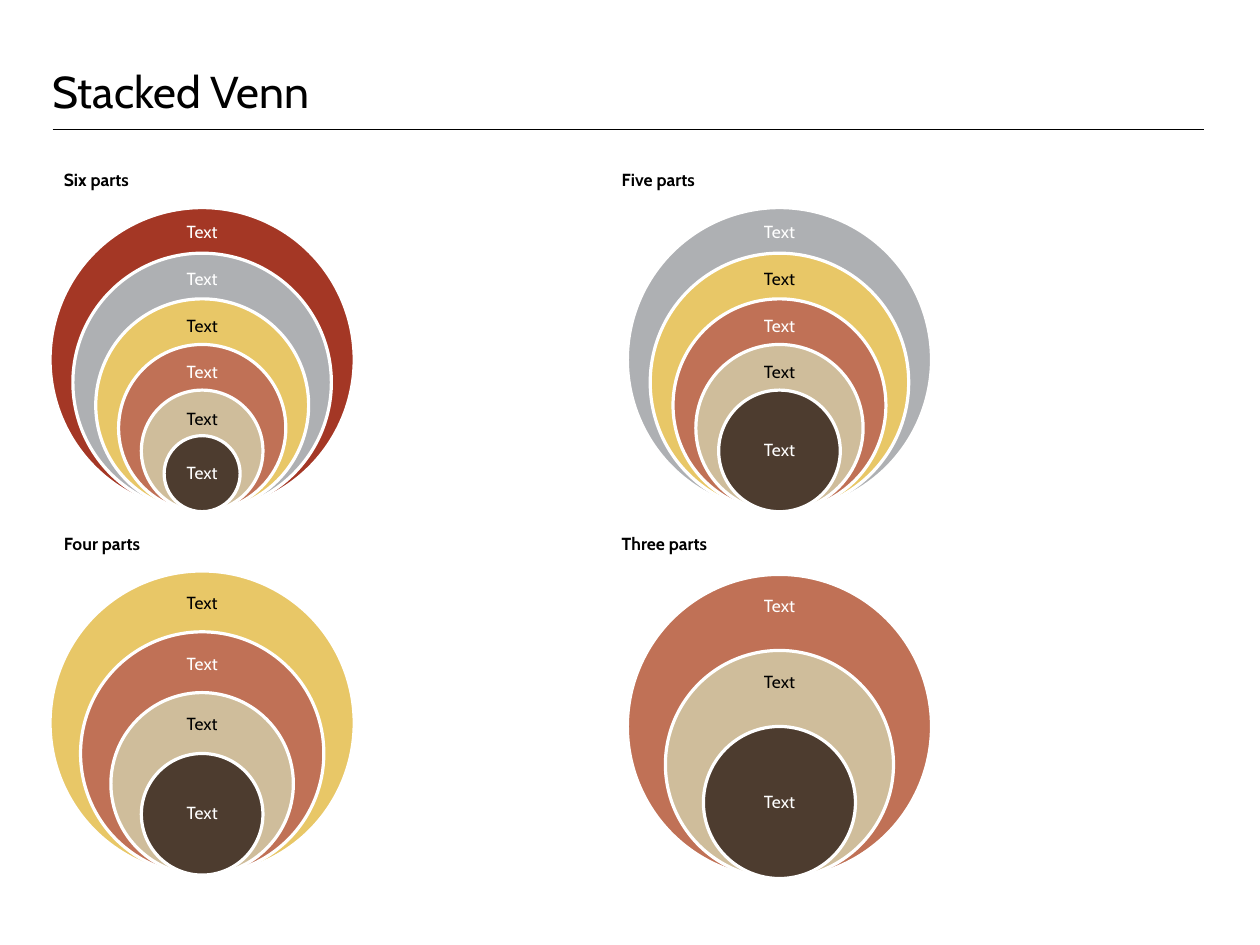
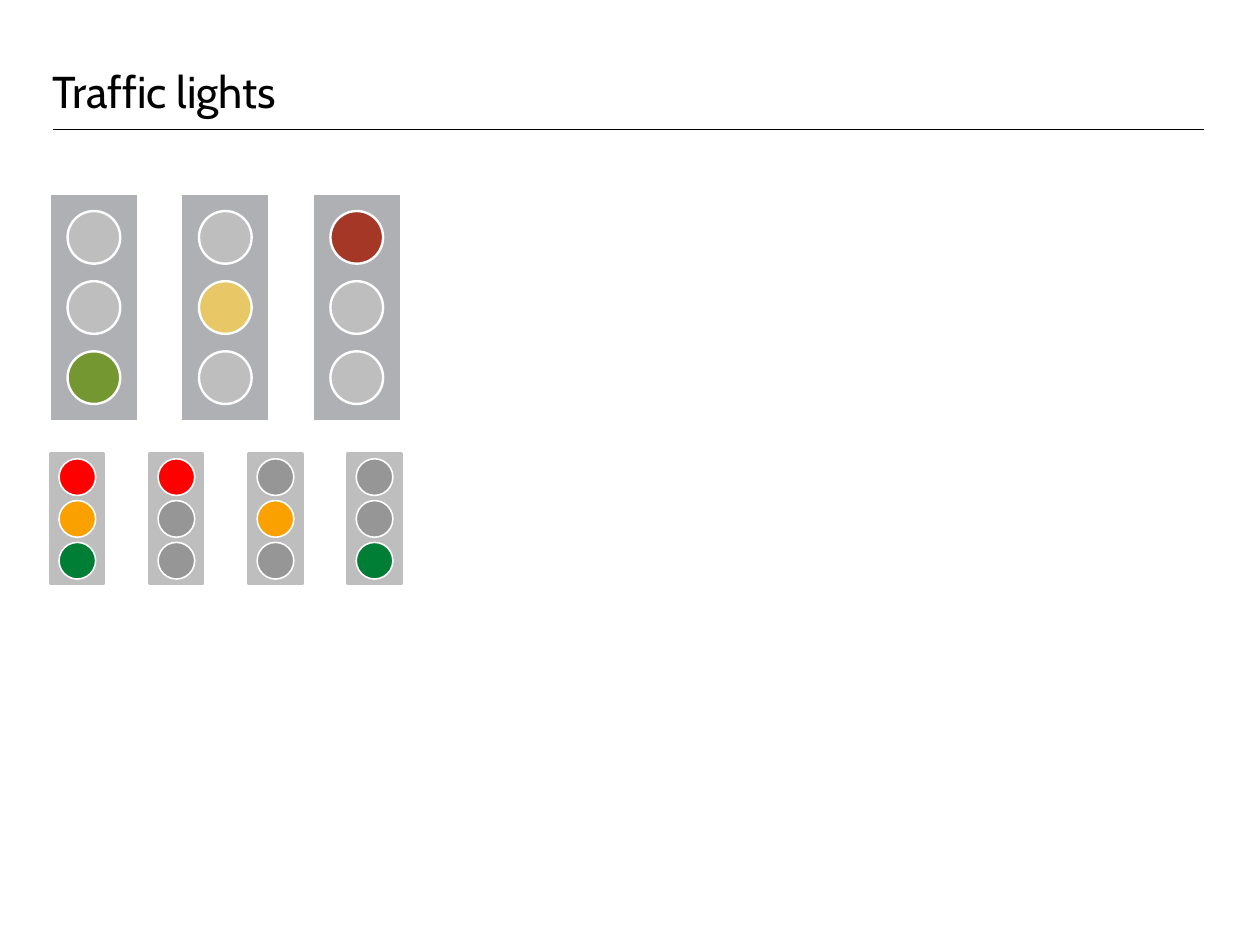
from dataclasses import dataclass

from lxml.etree import SubElement
from pptx import Presentation
from pptx.dml.color import RGBColor
from pptx.enum.shapes import MSO_CONNECTOR as Connector, MSO_SHAPE as Preset
from pptx.enum.text import MSO_ANCHOR as Anchor, MSO_AUTO_SIZE as AutoSize, PP_ALIGN as Align
from pptx.oxml.ns import qn
from pptx.util import Inches, Pt

COLUMNS, ROWS = 44, 33
CELL = Inches(0.25)
QUARTER_TURN = 5400000  # 90 degrees in 60000ths


@dataclass(frozen=True)
class Theme:
    font: str = "Cabin"
    title_size: int = 28
    text_size: int = 11
    black: str = "000000"
    white: str = "FFFFFF"
    brick: str = "A43725"
    steel: str = "AEB0B3"
    sand: str = "E8C767"
    clay: str = "C07156"
    beige: str = "CFBD9B"
    brown: str = "4D3C2F"
    olive: str = "759731"
    silver: str = "BEBEBE"
    ash: str = "969696"
    red: str = "FF0000"
    amber: str = "FAA100"
    green: str = "007E35"


@dataclass(frozen=True)
class LightStyle:
    """Measures of a traffic light, in grid cells; line widths in points."""
    width: float
    height: float
    bulb: float
    bulb_pitch: float
    case: str
    case_line: str
    case_line_width: float
    bulb_line_width: float
    off: str


def cells(count):
    return round(count * CELL)


def paint(shape, fill, line, line_width):
    shape.shadow.inherit = False
    shape.fill.solid()
    shape.fill.fore_color.rgb = RGBColor.from_string(fill)
    shape.line.color.rgb = RGBColor.from_string(line)
    shape.line.width = Pt(line_width)


class Deck:
    def __init__(self, theme):
        self.theme = theme
        self.presentation = Presentation()
        self.presentation.slide_width = COLUMNS * CELL
        self.presentation.slide_height = ROWS * CELL
        self.layout = self.presentation.slide_layouts[5]
        self.slide = None
        self.place_layout_title()

    def place_layout_title(self):
        title = self.layout.placeholders[0]
        title.left, title.top, title.width, title.height = map(cells, (1.84, 0, 40.2, 4.12))
        frame = title.text_frame
        frame.margin_left = frame.margin_right = frame.margin_top = frame.margin_bottom = 0
        frame.vertical_anchor = Anchor.BOTTOM
        frame.auto_size = AutoSize.NONE

    def set_text(self, frame, text, size, color, bold=False, align=Align.LEFT):
        frame.word_wrap = True
        paragraph = frame.paragraphs[0]
        paragraph.text = text
        paragraph.alignment = align
        font = paragraph.font
        font.name, font.size, font.bold = self.theme.font, Pt(size), bold
        font.color.rgb = RGBColor.from_string(color)
        return paragraph

    def add_slide(self, title):
        self.slide = self.presentation.slides.add_slide(self.layout)
        paragraph = self.set_text(self.slide.shapes.title.text_frame, title,
                                  self.theme.title_size, self.theme.black)
        paragraph.line_spacing = Pt(32)
        self.add_rule(1.84, 42.04, 4.52)

    def add_rule(self, left, right, row):
        rule = self.slide.shapes.add_connector(
            Connector.STRAIGHT, cells(left), cells(row), cells(right), cells(row))
        rule.line.color.rgb = RGBColor.from_string(self.theme.black)
        rule.line.width = Pt(0.75)
        SubElement(rule._element.spPr, qn("a:effectLst"))

    def add_heading(self, left, top, text):
        box = self.slide.shapes.add_textbox(*map(cells, (left, top, 12.56, 1.56)))
        paragraph = self.set_text(box.text_frame, text, self.theme.text_size,
                                  self.theme.black, bold=True)
        paragraph.space_before = Pt(6.6)

    def add_ring(self, group, center, bottom, diameter, fill):
        """Add a circle outline whose text area is its whole bounding square."""
        radius = cells(diameter / 2)
        x, y = cells(center), cells(bottom) - radius
        builder = group.shapes.build_freeform(x - radius, y)
        builder.add_line_segments(
            [(x, y - radius), (x + radius, y), (x, y + radius), (x - radius, y)], close=True)
        ring = builder.convert_to_shape()
        for turn, side in enumerate(list(ring._element.iter(qn("a:lnTo")))):
            arc = SubElement(side.getparent(), qn("a:arcTo"), {
                "wR": str(radius), "hR": str(radius),
                "stAng": str((turn + 2) % 4 * QUARTER_TURN), "swAng": str(QUARTER_TURN)})
            side.getparent().replace(side, arc)
        paint(ring, fill, self.theme.white, 2)
        return ring

    def add_stacked_venn(self, center, bottom, rings, shrink, label_depth, label_step=0):
        """Nest circles on one base; shrink is the share of the width lost per ring."""
        outer, label_height = 10.62, 0.6
        group = self.slide.shapes.add_group_shape()
        for index, (fill, text_color) in enumerate(rings):
            diameter = outer * (1 - shrink * index)
            ring = self.add_ring(group, center, bottom, diameter, fill)
            is_core = index == len(rings) - 1
            label_center = diameter / 2 if is_core else label_depth + label_step * index
            frame = ring.text_frame
            frame.margin_left = frame.margin_right = 0
            frame.margin_top = cells(label_center - label_height / 2)
            frame.margin_bottom = cells(diameter - label_center - label_height / 2)
            frame.vertical_anchor = Anchor.MIDDLE
            paragraph = self.set_text(frame, "Text", self.theme.text_size, text_color,
                                      align=Align.CENTER)
            paragraph.line_spacing = 0.9

    def add_traffic_light(self, left, top, style, bulbs):
        """Draw one light; a bulb of None is off."""
        group = self.slide.shapes.add_group_shape()
        case = group.shapes.add_shape(
            Preset.RECTANGLE, *map(cells, (left, top, style.width, style.height)))
        paint(case, style.case, style.case_line, style.case_line_width)
        bulb_left = left + (style.width - style.bulb) / 2
        stack_height = style.bulb + (len(bulbs) - 1) * style.bulb_pitch
        first_top = top + (style.height - stack_height) / 2
        for index, color in enumerate(bulbs):
            bulb = group.shapes.add_shape(Preset.OVAL, *map(cells, (
                bulb_left, first_top + index * style.bulb_pitch, style.bulb, style.bulb)))
            paint(bulb, color or style.off, self.theme.white, style.bulb_line_width)

    def add_light_row(self, left, top, pitch, style, lights):
        for index, bulbs in enumerate(lights):
            self.add_traffic_light(left + index * pitch, top, style, bulbs)


def add_venn_slide(deck):
    theme = deck.theme
    rings = [(theme.brick, theme.white), (theme.steel, theme.white),
             (theme.sand, theme.black), (theme.clay, theme.white),
             (theme.beige, theme.black), (theme.brown, theme.white)]
    left_heading, right_heading = 1.84, 21.32
    left_center, right_center = 7.06, 27.22
    upper_heading, lower_heading = 5.72, 18.4

    deck.add_slide("Stacked Venn")
    deck.add_heading(left_heading, upper_heading, "Six parts")
    deck.add_stacked_venn(left_center, 17.87, rings, 0.15, 0.88, 0.04)
    deck.add_heading(right_heading, upper_heading, "Five parts")
    deck.add_stacked_venn(right_center, 17.87, rings[1:], 0.15, 0.88, 0.04)
    deck.add_heading(left_heading, lower_heading, "Four parts")
    deck.add_stacked_venn(left_center, 30.56, rings[2:], 0.2, 1.14)
    deck.add_heading(right_heading, lower_heading, "Three parts")
    deck.add_stacked_venn(right_center, 30.68, rings[3:], 0.25, 1.14)


def add_lights_slide(deck):
    theme = deck.theme
    large = LightStyle(width=3.04, height=7.88, bulb=1.84, bulb_pitch=2.45,
                       case=theme.steel, case_line=theme.white, case_line_width=0.75,
                       bulb_line_width=1.5, off=theme.silver)
    small = LightStyle(width=1.88, height=4.56, bulb=1.28, bulb_pitch=1.46,
                       case=theme.silver, case_line=theme.silver, case_line_width=1.5,
                       bulb_line_width=1, off=theme.ash)

    deck.add_slide("Traffic lights")
    deck.add_light_row(1.76, 6.8, 4.59, large, [
        (None, None, theme.olive), (None, theme.sand, None), (theme.brick, None, None)])
    deck.add_light_row(1.76, 15.84, 3.46, small, [
        (theme.red, theme.amber, theme.green), (theme.red, None, None),
        (None, theme.amber, None), (None, None, theme.green)])


def main():
    deck = Deck(Theme())
    add_venn_slide(deck)
    add_lights_slide(deck)
    deck.presentation.save("out.pptx")


if __name__ == "__main__":
    main()
